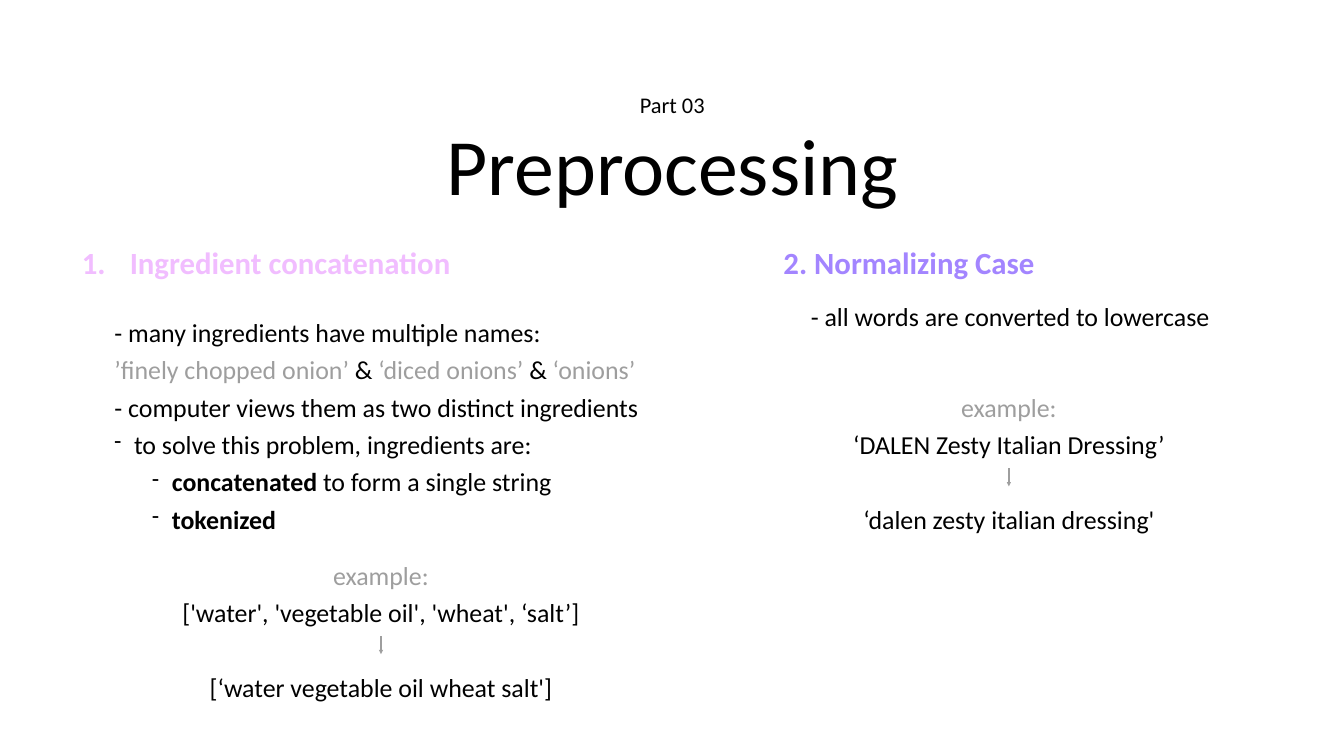
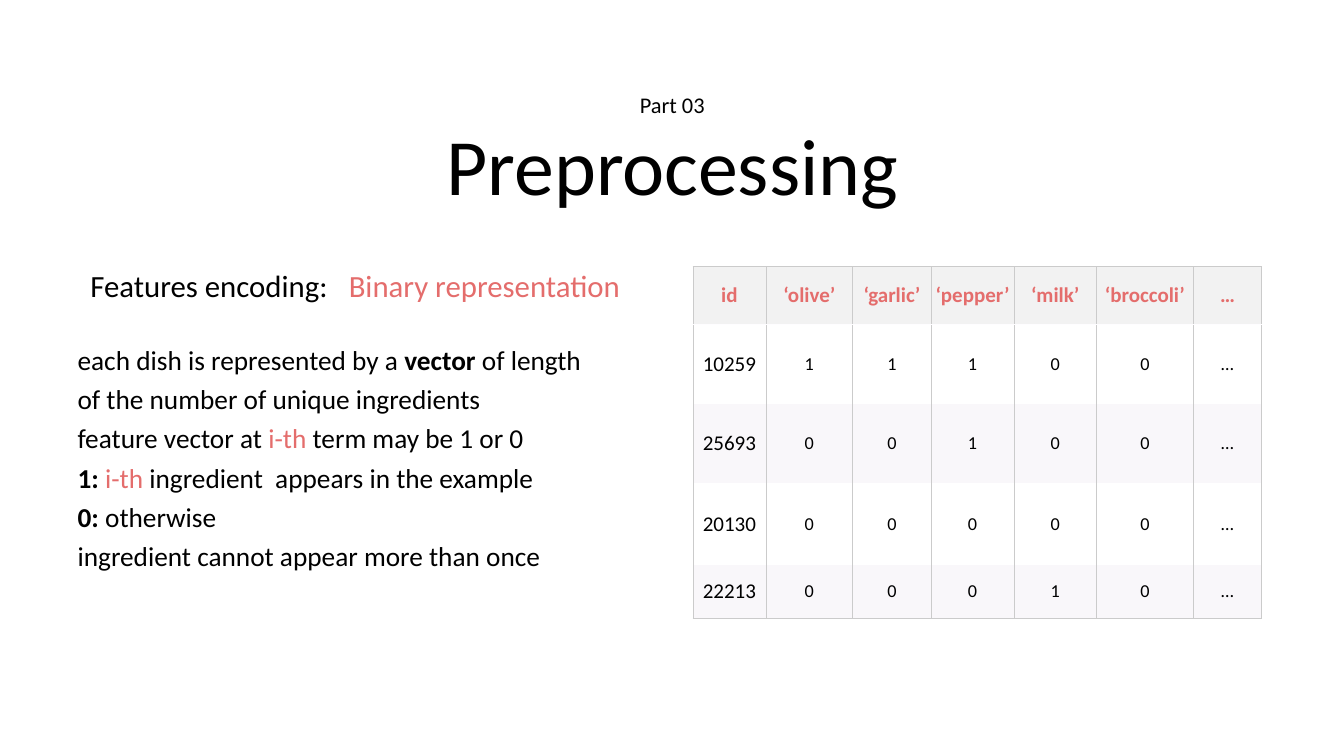
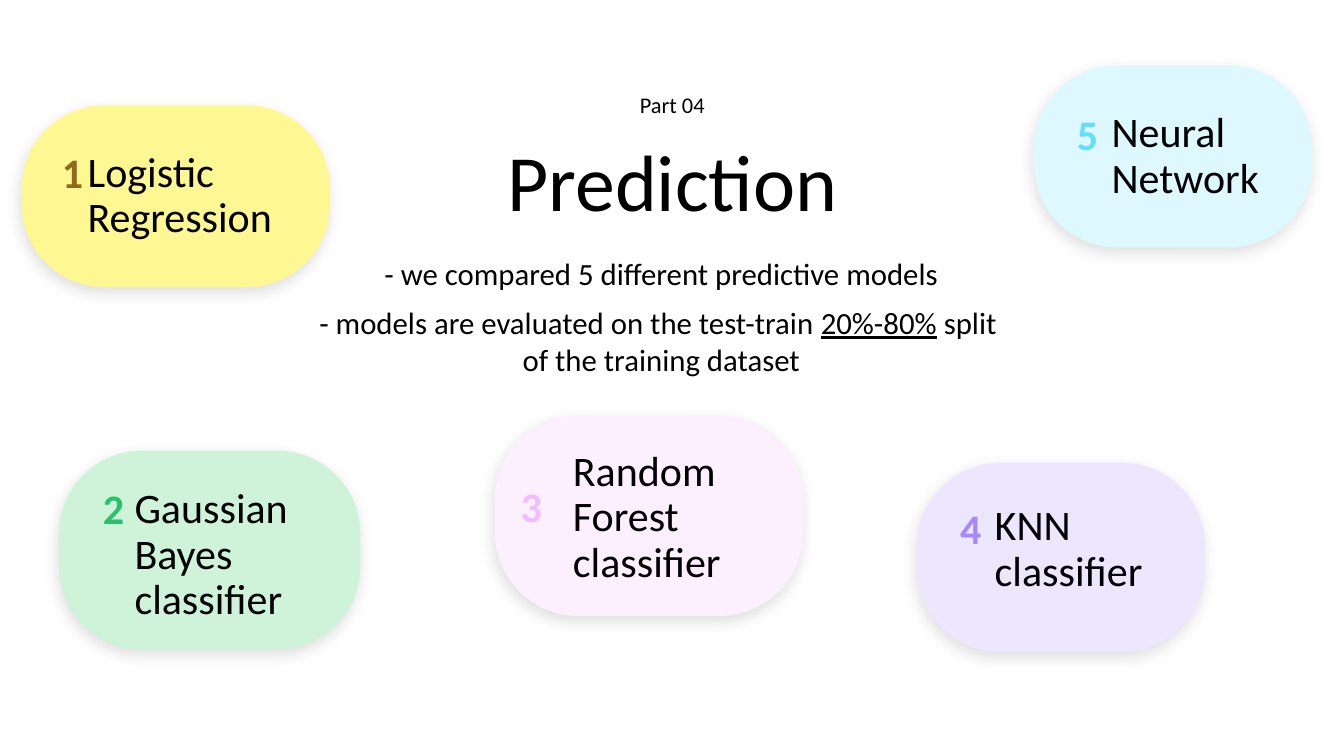
from lxml import etree
from pptx import Presentation
from pptx.dml.color import RGBColor
from pptx.enum import shapes, text
from pptx.oxml import parse_xml
from pptx.oxml.ns import nsdecls, qn
from pptx.util import Inches, Pt

BLACK = RGBColor(0x00, 0x00, 0x00)
WHITE = RGBColor(0xFF, 0xFF, 0xFF)
GREY = RGBColor(0x9E, 0x9E, 0x9E)
PINK = RGBColor(0xF1, 0xBD, 0xFF)
VIOLET = RGBColor(0xA3, 0x85, 0xFF)
CORAL = RGBColor(0xE4, 0x6D, 0x6C)
HEADER_FILL = RGBColor(0xF2, 0xF2, 0xF2)
BAND_FILL = RGBColor(0xF9, 0xF7, 0xFA)
GRID = RGBColor(0xCB, 0xCB, 0xCB)
HEADER_LINE = RGBColor(0xFE, 0xFD, 0xFF)

FONT = "Calibri"
INSET = 0.08
LEFT, CENTER = text.PP_ALIGN.LEFT, text.PP_ALIGN.CENTER
BOLD, UNDERLINE = {"bold": True}, {"underline": True}

# A paragraph is a list of runs: (text, colour, font attributes); "\n" breaks the line.
CONCAT_NOTES = [
    [("- many ingredients have multiple names:\n", BLACK, {}),
     ("’finely chopped onion’", GREY, {}), (" & ", BLACK, {}),
     ("‘diced onions’ ", GREY, {}), ("&", BLACK, {}), (" ‘onions’", GREY, {})],
    [("- computer views them as two distinct ingredients", BLACK, {})],
    [("to solve this problem, ingredients are:", BLACK, {})],
    [("concatenated", BLACK, BOLD), (" to form a single string", BLACK, {})],
    [("tokenized", BLACK, BOLD)],
]
CONCAT_DASHES = {2: (0, 0.39), 3: (3, 1.14), 4: (3, 1.14)}  # paragraph: level, margin

EXAMPLES = [  # box, before, after
    ((3.43, 10.95, 8.26, 3.01),
     "['water', 'vegetable oil', 'wheat', ‘salt’]", "[‘water vegetable oil wheat salt']"),
    ((16.48, 7.62, 7.08, 3.01),
     "‘DALEN Zesty Italian Dressing’", "‘dalen zesty italian dressing'"),
]

ENCODING_HEADING = [[("Features encoding:   ", BLACK, {}), ("Binary representation ", CORAL, {})]]
ENCODING_NOTES = [
    [("each dish is represented by a ", BLACK, {}), ("vector", BLACK, BOLD),
     (" of length \nof the number of unique ingredients", BLACK, {})],
    [("feature vector at ", BLACK, {}), ("i-th", CORAL, {}), (" term may be 1 or 0", BLACK, {})],
    [("1: ", BLACK, BOLD), ("i-th", CORAL, {}),
     (" ingredient  appears in the example", BLACK, {})],
    [("0:", BLACK, BOLD), (" otherwise", BLACK, {})],
    [("ingredient cannot appear more than once", BLACK, {})],
]
VECTORS = [
    ["id", "‘olive’", "‘garlic’", "‘pepper’", "‘milk’", "‘broccoli’", "…"],
    ["10259", "1", "1", "1", "0", "0", "…"],
    ["25693", "0", "0", "1", "0", "0", "…"],
    ["20130", "0", "0", "0", "0", "0", "…"],
    ["22213", "0", "0", "0", "1", "0", "…"],
]
COL_WIDTHS = [1.45, 1.72, 1.56, 1.64, 1.64, 1.92, 1.36]
ROW_HEIGHTS = [1.14, 1.58, 1.58, 1.62, 1.06]

PREDICTION_NOTES = [
    [("- we compared 5 different predictive models", BLACK, {})],
    [("- models are evaluated on the test-train ", BLACK, {}), ("20%-80%", BLACK, UNDERLINE),
     (" split \nof the training dataset", BLACK, {})],
]
MODELS = [  # name lines, card box, corner, fill, name box, number box, number colour
    (["Logistic", "Regression"], (0.43, 2.09, 6.12, 3.61), 0.457, RGBColor(0xFF, 0xF7, 0x91),
     (1.66, 2.87, 4.02, 2.06), (1.15, 2.83, 0.57, 1.16), RGBColor(0x8F, 0x69, 0x1C)),
    (["Gaussian", "Bayes", "classifier"], (1.17, 8.94, 5.98, 3.95), 0.418,
     RGBColor(0xCE, 0xF3, 0xD8),
     (2.59, 9.54, 3.76, 2.96), (1.91, 9.5, 0.69, 1.16), RGBColor(0x2A, 0xC0, 0x6C)),
    (["Random", "Forest", "classifier"], (9.82, 8.25, 6.12, 3.97), 0.416,
     RGBColor(0xFC, 0xF0, 0xFF),
     (11.29, 8.8, 3.66, 2.96), (10.18, 9.45, 0.72, 1.16), PINK),
    (["KNN", "classifier"], (18.2, 9.18, 5.71, 3.76), 0.439, RGBColor(0xEC, 0xE6, 0xFF),
     (19.66, 9.88, 3.33, 2.06), (18.88, 9.89, 0.77, 1.16), RGBColor(0xA6, 0x89, 0xFF)),
    (["Neural", "Network"], (20.52, 1.3, 5.52, 3.61), 0.457, RGBColor(0xDE, 0xF8, 0xFF),
     (21.98, 2.08, 3.24, 2.06), (21.22, 2.08, 0.72, 1.16), RGBColor(0x64, 0xDE, 0xFF)),
]


def inches(box):
    return [Inches(v) for v in box]


def write(tf, paragraphs, size, align=LEFT, spacing=None):
    for i, runs in enumerate(paragraphs):
        p = tf.paragraphs[0] if i == 0 else tf.add_paragraph()
        p.alignment = align
        if spacing:
            p.line_spacing = spacing
        for content, color, attributes in runs:
            for j, line in enumerate(content.split("\n")):
                if j:
                    p.add_line_break()
                if not line:
                    continue
                r = p.add_run()
                r.text = line
                r.font.name, r.font.size = FONT, Pt(size)
                r.font.color.rgb = color
                for name, value in attributes.items():
                    setattr(r.font, name, value)


def set_frame(tf, wrap):
    tf.word_wrap = wrap
    tf.auto_size = text.MSO_AUTO_SIZE.NONE if wrap else text.MSO_AUTO_SIZE.SHAPE_TO_FIT_TEXT
    tf.vertical_anchor = text.MSO_ANCHOR.MIDDLE
    tf.margin_left = tf.margin_right = tf.margin_top = tf.margin_bottom = Inches(INSET)


def add_text(s, box, paragraphs, size, align=LEFT, spacing=None, wrap=False):
    tf = s.shapes.add_textbox(*inches(box)).text_frame
    set_frame(tf, wrap)
    write(tf, paragraphs, size, align, spacing)
    return tf


def add_slide(prs, title, part, title_top):
    s = prs.slides.add_slide(prs.slide_layouts[5])
    sp = s.shapes.title
    sp.left, sp.top, sp.width, sp.height = inches((4.81, title_top, 17.07, 3.32))
    set_frame(sp.text_frame, True)
    write(sp.text_frame, [[(title, BLACK, {})]], 114, CENTER)
    add_text(s, (12.57, 1.73, 1.54, 0.68), [[(part, BLACK, {})]], 32, CENTER)
    return s


def set_bullet(p, margin, indent, tag, **attributes):
    pPr = p._p.get_or_add_pPr()
    pPr.set("marL", str(Inches(margin)))
    pPr.set("indent", str(Inches(indent)))
    if tag == "a:buChar":
        etree.SubElement(pPr, qn("a:buSzPct")).set("val", "80000")
    bullet = etree.SubElement(pPr, qn(tag))
    for name, value in attributes.items():
        bullet.set(name, value)


def add_arrow(s, x, y, length):
    line = s.shapes.add_connector(shapes.MSO_CONNECTOR.STRAIGHT,
                                  *inches((x, y, x, y + length)))
    line.line.color.rgb, line.line.width = GREY, Pt(2)
    etree.SubElement(line.line._get_or_add_ln(), qn("a:tailEnd")).set("type", "triangle")
    etree.SubElement(line._element.spPr, qn("a:effectLst"))


def add_example(s, box, before, after):
    """Before and after lines, with an arrow in the gap between them."""
    left, top, width, _ = box
    lines = [("example:", GREY), (before, BLACK), (after, BLACK)]
    tf = add_text(s, box, [[(line, color, {})] for line, color in lines], 37, CENTER, 1.2)
    tf.paragraphs[-1].space_before = Pt(54)
    add_arrow(s, left + width / 2, top + 1.67, 0.36)


def set_border(cell, side, color):
    paint = f'<a:solidFill><a:srgbClr val="{color}"/></a:solidFill>' if color else "<a:noFill/>"
    cell._tc.get_or_add_tcPr().append(
        parse_xml(f'<a:ln{side} {nsdecls("a")} w="12700">{paint}</a:ln{side}>'))


def add_vector_table(s):
    box = (13.75, 5.29, sum(COL_WIDTHS), sum(ROW_HEIGHTS))
    last = len(VECTORS) - 1
    table = s.shapes.add_table(len(VECTORS), len(COL_WIDTHS), *inches(box)).table
    table.first_row = table.horz_banding = False
    for column, width in zip(table.columns, COL_WIDTHS):
        column.width = Inches(width)
    edges = [GRID, HEADER_LINE] + [None] * (last - 1) + [GRID]
    for i, values in enumerate(VECTORS):
        table.rows[i].height = Inches(ROW_HEIGHTS[i])
        fill = HEADER_FILL if i == 0 else WHITE if i % 2 else BAND_FILL
        for j, value in enumerate(values):
            cell = table.cell(i, j)
            cell.vertical_anchor = text.MSO_ANCHOR.MIDDLE
            cell.margin_left = cell.margin_right = Inches(0.06)
            cell.margin_top = cell.margin_bottom = Inches(0.06)
            for side, color in zip("LRTB", (GRID, GRID, edges[i], edges[i + 1])):
                set_border(cell, side, color)
            cell.fill.solid()
            cell.fill.fore_color.rgb = fill
            run = (value, BLACK, {}) if i else (value, CORAL, BOLD)
            write(cell.text_frame, [[run]], 26 if i and j else 30, CENTER)


def add_model(s, number, model):
    lines, card_box, corner, fill, name_box, number_box, color = model
    card = s.shapes.add_shape(shapes.MSO_SHAPE.ROUNDED_RECTANGLE, *inches(card_box))
    card.adjustments[0] = corner
    card.fill.solid()
    card.fill.fore_color.rgb = fill
    card.line.fill.background()
    card._element.spPr.append(parse_xml(
        f'<a:effectLst {nsdecls("a")}><a:outerShdw blurRad="{Pt(23)}" dist="{Pt(7.9)}" '
        f'dir="{109 * 60000}" rotWithShape="0"><a:srgbClr val="000000">'
        '<a:alpha val="12000"/></a:srgbClr></a:outerShdw></a:effectLst>'))
    add_text(s, name_box, [[(line, BLACK, {})] for line in lines], 60, spacing=0.9)
    tf = add_text(s, number_box, [[(str(number), color, BOLD)]], 60, CENTER)
    tf.paragraphs[0].runs[0].font._element.set("spc", "720")


def build_preprocessing(prs):
    s = add_slide(prs, "Preprocessing", "Part 03", 1.59)
    tf = add_text(s, (1.29, 4.76, 7.99, 0.89),
                  [[("Ingredient concatenation", PINK, BOLD)]], 44, CENTER)
    set_bullet(tf.paragraphs[0], 0.95, -0.95, "a:buAutoNum", type="arabicPeriod")
    tf = add_text(s, (2.19, 6.15, 11.48, 4.46), CONCAT_NOTES, 37, spacing=1.2)
    for i, (level, margin) in CONCAT_DASHES.items():
        tf.paragraphs[i].level = level
        set_bullet(tf.paragraphs[i], margin, -0.39, "a:buChar", char="-")
    add_text(s, (15.21, 4.76, 5.8, 0.89),
             [[("2. Normalizing Case ", VIOLET, BOLD)]], 44, CENTER)
    add_text(s, (16.01, 5.89, 8.43, 0.77),
             [[("- all words are converted to lowercase", BLACK, {})]], 37)
    for example in EXAMPLES:
        add_example(s, *example)


def build_encoding(prs):
    s = add_slide(prs, "Preprocessing", "Part 03", 1.59)
    add_text(s, (1.43, 5.22, 11.38, 0.89), ENCODING_HEADING, 44, CENTER)
    add_text(s, (1.46, 6.65, 11.31, 4.73), ENCODING_NOTES, 39, spacing=1.2)
    add_vector_table(s)


def build_prediction(prs):
    s = add_slide(prs, "Prediction", "Part 04", 1.9)
    tf = add_text(s, (4.51, 1.44, 17.23, 9.67), PREDICTION_NOTES, 44, CENTER, wrap=True)
    tf.paragraphs[1].space_before = Pt(18)
    for number, model in enumerate(MODELS, 1):
        add_model(s, number, model)


def main():
    prs = Presentation()
    prs.slide_width, prs.slide_height = Inches(26.67), Inches(15)
    build_preprocessing(prs)
    build_encoding(prs)
    build_prediction(prs)
    prs.save("out.pptx")


if __name__ == "__main__":
    main()
